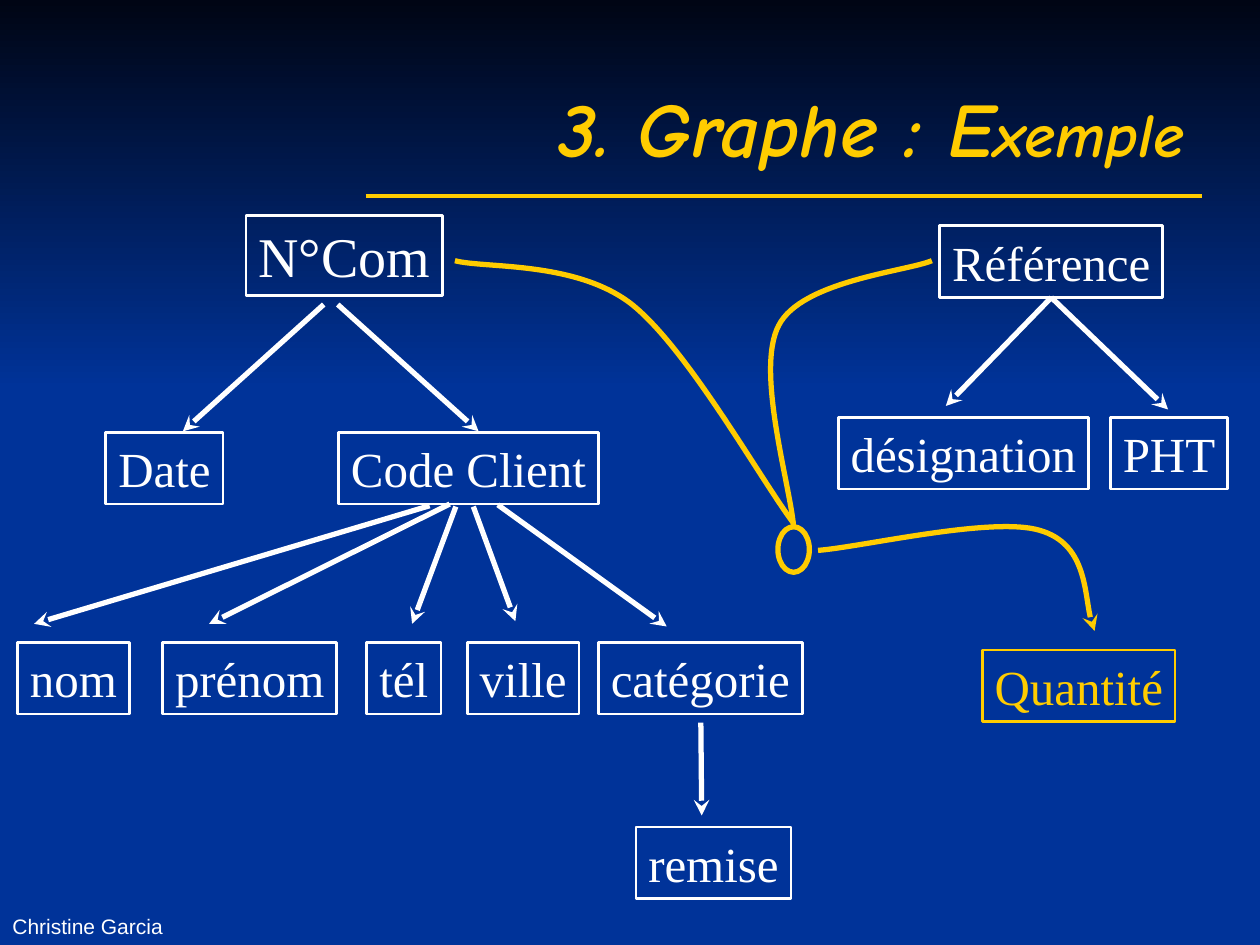
"""Build the slide showing an example dependency graph."""
from dataclasses import dataclass

from lxml import etree
from pptx import Presentation
from pptx import util as u
from pptx.dml import color
from pptx.enum import shapes, text
from pptx.oxml import ns

COLORS = {"night": "000514", "blue": "003399", "gold": "FFCC00", "white": "FFFFFF"}
SERIF = "Times New Roman"
CLIENT_ROW, ARTICLE_ROW, DETAIL_ROW = 247, 238.5, 367
ARROW_START, DETAIL_ARROW_END = 174, 356.5


@dataclass
class Attribute:
    """A boxed attribute of the graph."""
    label: str
    left: float
    top: float
    width: float
    height: float = 41
    size: float = 28
    tint: str = "white"


@dataclass
class Arrow:
    """A straight dependency."""
    start: tuple
    end: tuple
    source: str = ""


@dataclass
class Curve:
    """A chain of cubic curves: a start, then three points per curve."""
    points: list
    arrow: bool = False


ATTRIBUTES = [
    Attribute("N°Com", 140.5, 123, 112.5, 46, 32),
    Attribute("Date", 60.5, CLIENT_ROW, 67),
    Attribute("Code Client", 193.5, CLIENT_ROW, 148.5),
    Attribute("nom", 10, DETAIL_ROW, 64),
    Attribute("prénom", 93, DETAIL_ROW, 99.5),
    Attribute("tél", 209.5, DETAIL_ROW, 42.5),
    Attribute("ville", 267, DETAIL_ROW, 64),
    Attribute("catégorie", 342, DETAIL_ROW, 116.5),
    Attribute("remise", 363.5, 472.5, 88.5),
    Attribute("Référence", 537, 129, 127.5),
    Attribute("désignation", 479, ARTICLE_ROW, 143),
    Attribute("PHT", 634.5, ARTICLE_ROW, 67),
    Attribute("Quantité", 561.5, 371.5, 110, tint="gold"),
]
ARROWS = [
    Arrow((185, ARROW_START), (104.5, 246.5)),
    Arrow((193, ARROW_START), (273.5, 246.5)),
    Arrow((245.5, 289), (19.5, DETAIL_ARROW_END)),
    Arrow((257, 288), (119.5, DETAIL_ARROW_END)),
    Arrow((260.5, 289.5), (235.5, DETAIL_ARROW_END)),
    Arrow((270.5, 289.5), (294.5, 355)),
    Arrow((284.5, 288.5), (381, 358)),
    Arrow((400.5, 413), (401, 466)),
    Arrow((600, 170), (540.5, 232), "Référence"),
    Arrow((600, 170), (667.5, 234), "Référence"),
]
CURVES = [
    Curve([(260, 149), (276.5, 153.5), (328.5, 149), (360.5, 173.5),
           (392.5, 198.5), (434, 273), (453.5, 299)]),
    Curve([(532.5, 149), (518.5, 155), (458, 160.5), (445, 186),
           (431.5, 211.5), (451.5, 277), (453.5, 301)]),
    Curve([(467.5, 314.5), (493, 312.5), (567, 295), (594, 303),
           (620.5, 310.5), (620.5, 351), (625.5, 360.5)], arrow=True),
]


def rgb(name: str) -> color.RGBColor:
    """Look up a palette colour."""
    return color.RGBColor.from_string(COLORS[name])


def set_line(shape, tint: str, width: float, arrow: bool = False) -> None:
    """Format an outline, with an optional arrowhead at its end."""
    shape.line.color.rgb = rgb(tint)
    shape.line.width = u.Pt(width)
    if arrow:
        etree.SubElement(shape.line._get_or_add_ln(), ns.qn("a:tailEnd"), type="stealth")


def add_run(paragraph, words: str, font: str, size: float, tint: str, strong: bool = False) -> None:
    """Append one formatted run."""
    run = paragraph.add_run()
    run.text = words
    run.font.name = font
    run.font.size = u.Pt(size)
    run.font.color.rgb = rgb(tint)
    run.font.bold = run.font.italic = strong


def add_sky(slide) -> None:
    """Fill the background and shade its upper part."""
    slide.background.fill.solid()
    slide.background.fill.fore_color.rgb = rgb("blue")
    sky = slide.shapes.add_shape(shapes.MSO_SHAPE.RECTANGLE, 0, 0, u.Pt(720), u.Pt(222.5))
    sky.shadow.inherit = False
    sky.line.fill.background()
    sky.fill.gradient()
    sky.fill.gradient_angle = 270
    for stop, tint in zip(sky.fill.gradient_stops, ("night", "blue")):
        stop.color.rgb = rgb(tint)


def add_title(slide) -> None:
    """Place the title above the shaded background."""
    title = slide.shapes.title
    title.left, title.top, title.width, title.height = map(u.Pt, (36, 21.6, 648, 90))
    slide.shapes._spTree.append(title._element)
    frame = title.text_frame
    frame.vertical_anchor = text.MSO_ANCHOR.MIDDLE
    frame.margin_top = u.Pt(15)
    heading = frame.paragraphs[0]
    heading.alignment = text.PP_ALIGN.RIGHT
    add_run(heading, "3. Graphe : E", "Comic Neue", 44, "gold", True)
    add_run(heading, "xemple", "Comic Neue", 36, "gold", True)


def add_attribute(slide, item: Attribute):
    """Draw a boxed attribute."""
    box = slide.shapes.add_shape(
        shapes.MSO_SHAPE.RECTANGLE, *map(u.Pt, (item.left, item.top, item.width, item.height)))
    box.shadow.inherit = False
    box.fill.background()
    set_line(box, item.tint, 1.5)
    frame = box.text_frame
    frame.word_wrap = False
    frame.vertical_anchor = text.MSO_ANCHOR.MIDDLE
    frame.paragraphs[0].alignment = text.PP_ALIGN.CENTER
    add_run(frame.paragraphs[0], item.label, SERIF, item.size, item.tint)
    return box


def add_straight(slide, start: tuple, end: tuple, tint: str, width: float, arrow: bool):
    """Draw a straight connector without shadow."""
    link = slide.shapes.add_connector(
        shapes.MSO_CONNECTOR.STRAIGHT, *map(u.Pt, (*start, *end)))
    set_line(link, tint, width, arrow)
    etree.SubElement(link._element.spPr, ns.qn("a:effectLst"))
    return link


def add_curve(slide, curve: Curve) -> None:
    """Draw a chain of cubic curves."""
    start, *rest = [(u.Pt(x), u.Pt(y)) for x, y in curve.points]
    builder = slide.shapes.build_freeform(*start)
    builder.add_line_segments(rest, close=False)
    link = builder.convert_to_shape()
    link.shadow.inherit = False
    link.fill.background()
    set_line(link, "gold", 3, curve.arrow)
    segments = list(link._element.iter(ns.qn("a:lnTo")))
    outline = segments[0].getparent()
    for first in range(0, len(segments), 3):
        cubic = etree.SubElement(outline, ns.qn("a:cubicBezTo"))
        for segment in segments[first:first + 3]:
            cubic.append(segment[0])
            outline.remove(segment)


def main() -> None:
    """Compose and save the slide."""
    deck = Presentation()
    deck.slide_width, deck.slide_height = u.Pt(720), u.Pt(540)
    slide = deck.slides.add_slide(deck.slide_layouts[5])
    add_sky(slide)
    add_straight(slide, (209, 112), (687, 112), "gold", 2, False)
    add_title(slide)
    boxes = {item.label: add_attribute(slide, item) for item in ATTRIBUTES}
    for arrow in ARROWS:
        link = add_straight(slide, arrow.start, arrow.end, "white", 3, True)
        if arrow.source:
            link.begin_connect(boxes[arrow.source], 2)
    junction = slide.shapes.add_shape(
        shapes.MSO_SHAPE.OVAL, *map(u.Pt, (444.5, 301, 18, 26)))
    junction.shadow.inherit = False
    junction.fill.background()
    set_line(junction, "gold", 3)
    for curve in CURVES:
        add_curve(slide, curve)
    author = slide.shapes.add_textbox(*map(u.Pt, (0, 502.5, 228, 37.5))).text_frame
    author.word_wrap = True
    author.vertical_anchor = text.MSO_ANCHOR.BOTTOM
    add_run(author.paragraphs[0], "Christine Garcia", "Arial", 12, "white")
    deck.save("out.pptx")


if __name__ == "__main__":
    main()
